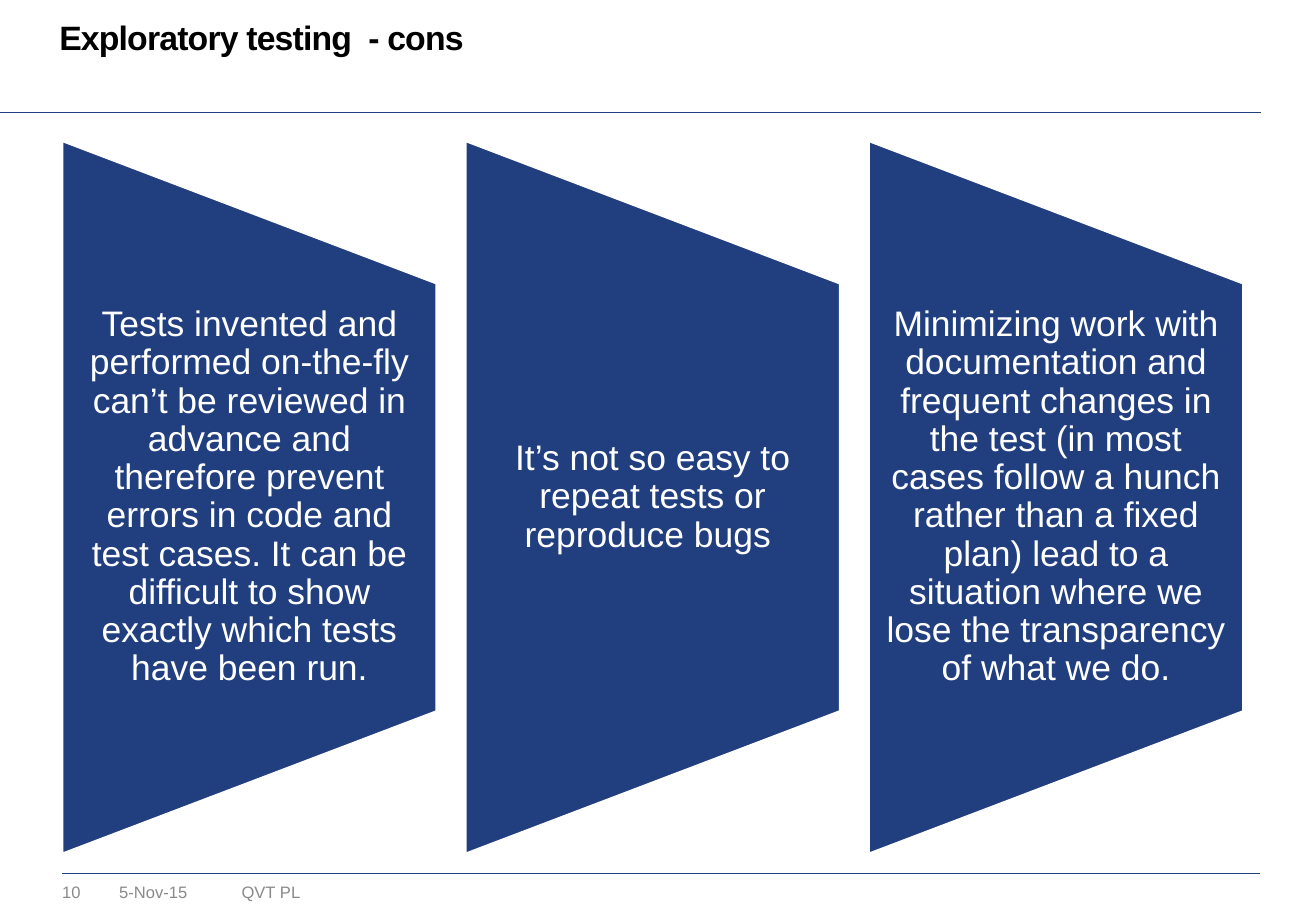
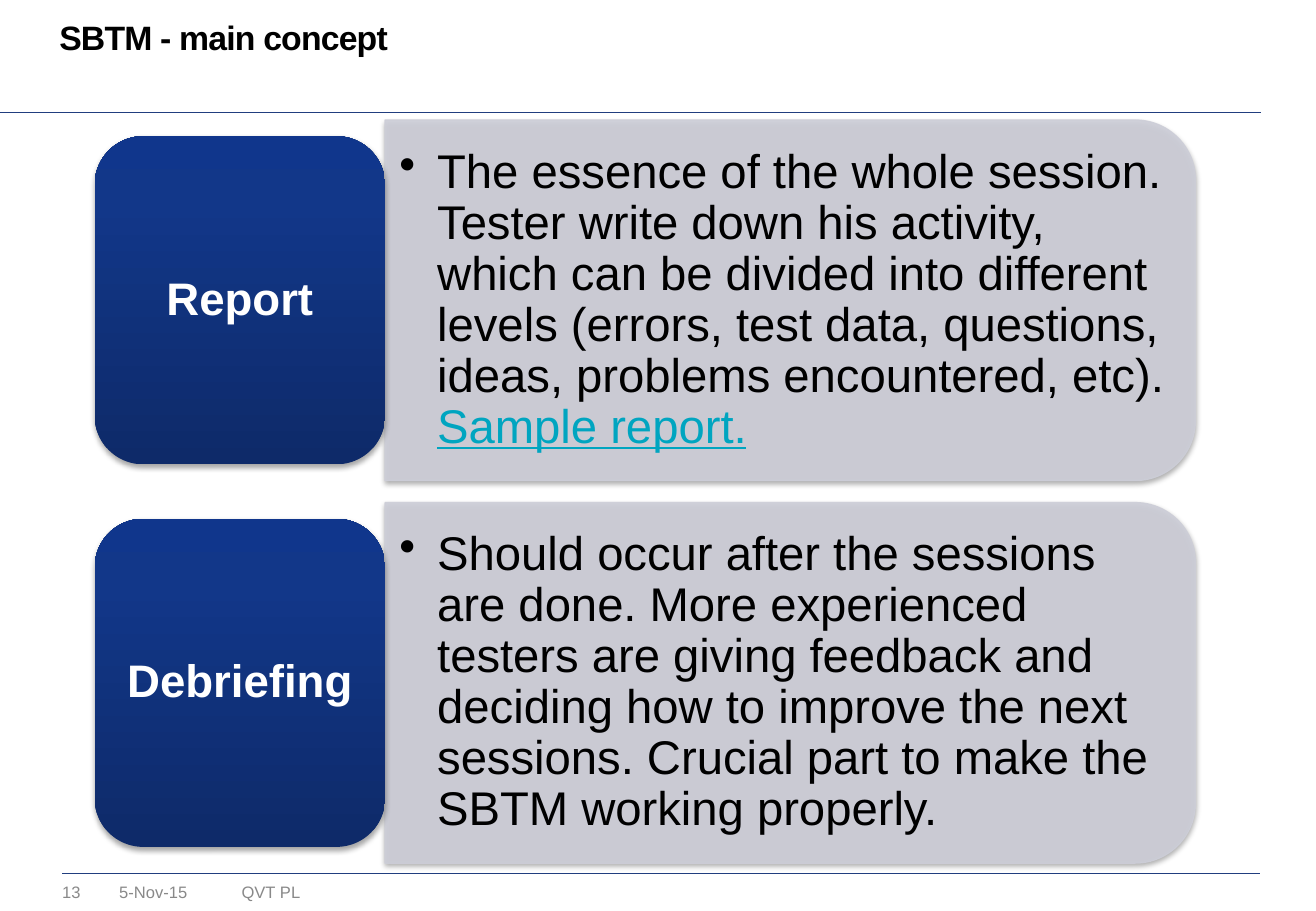
import copy
from dataclasses import dataclass

import pptx
import pptx.dml.color
import pptx.enum.shapes
import pptx.enum.text
import pptx.oxml.ns
import pptx.util
from lxml import etree

Cm, Pt = pptx.util.Cm, pptx.util.Pt
RGBColor = pptx.dml.color.RGBColor
MSO_SHAPE = pptx.enum.shapes.MSO_SHAPE
PP_ALIGN = pptx.enum.text.PP_ALIGN
MSO_ANCHOR = pptx.enum.text.MSO_ANCHOR
qn = pptx.oxml.ns.qn

# Colours and fonts
NAVY = RGBColor(0x21, 0x3E, 0x7F)
WHITE = RGBColor(0xFF, 0xFF, 0xFF)
BLACK = RGBColor(0x00, 0x00, 0x00)
GREY = RGBColor(0x89, 0x89, 0x89)
PANEL = RGBColor(0xCD, 0xCE, 0xD8)
TEAL = RGBColor(0x00, 0xA5, 0xC0)
LABEL_STOPS = (
    (0.0, RGBColor(0x0E, 0x2A, 0x69)),
    (0.8, RGBColor(0x12, 0x37, 0x89)),
    (1.0, RGBColor(0x10, 0x36, 0x8C)),
)
FONT = "Arial"

TITLE = {"size": Pt(20), "bold": True, "color": BLACK}
FOOTER = {"size": Pt(9.8), "color": GREY}
CON = {"size": Pt(21), "color": WHITE}
LABEL = {"size": Pt(27), "bold": True, "color": WHITE}
BODY = {"size": Pt(28), "color": BLACK}
LINK = {"size": Pt(28), "color": TEAL, "underline": True}


@dataclass(frozen=True)
class Box:
    """Left, top, width and height in centimetres."""
    x: float
    y: float
    w: float
    h: float

    def lengths(self) -> tuple:
        return Cm(self.x), Cm(self.y), Cm(self.w), Cm(self.h)

    def turned(self) -> "Box":
        """Frame that covers this box once rotated by a quarter turn."""
        return Box(self.x + (self.w - self.h) / 2,
                   self.y + (self.h - self.w) / 2, self.h, self.w)


@dataclass(frozen=True)
class Concept:
    label: str
    text: str
    link: str = ""


CONS = (
    "Tests invented and performed on-the-fly can’t be reviewed in advance and "
    "therefore prevent errors in code and test cases. It can be difficult to "
    "show exactly which tests have been run.",
    "It’s not so easy to repeat tests or reproduce bugs ",
    "Minimizing work with documentation and frequent changes in the test (in "
    "most cases follow a hunch rather than a fixed plan) lead to a situation "
    "where we lose the transparency of what we do.",
)
CONCEPTS = (
    Concept("Report",
            "The essence of the whole session. Tester write down his activity, "
            "which can be divided into different levels (errors, test data, "
            "questions, ideas, problems encountered, etc). ",
            "Sample report."),
    Concept("Debriefing",
            "Should occur after the sessions are done. More experienced testers "
            "are giving feedback and deciding how to improve the next sessions. "
            "Crucial part to make the SBTM working properly."),
)


# Text helpers
def add_run(p, text: str, style: dict):
    r = p.add_run()
    r.text = text
    r.font.name = FONT
    for name, value in style.items():
        if name == "color":
            r.font.color.rgb = value
        else:
            setattr(r.font, name, value)
    return r


def setup_frame(s, dx: float = 0, dy: float = 0, anchor=MSO_ANCHOR.TOP, wrap: bool = True):
    tf = s.text_frame
    settings = {
        "margin_left": Cm(dx), "margin_right": Cm(dx),
        "margin_top": Cm(dy), "margin_bottom": Cm(dy),
        "vertical_anchor": anchor, "word_wrap": wrap,
    }
    for name, value in settings.items():
        setattr(tf, name, value)
    return tf.paragraphs[0]


def add_text(sp, box: Box, text: str, style: dict, **frame):
    p = setup_frame(sp.add_textbox(*box.lengths()), **frame)
    return p, add_run(p, text, style)


# Shape helpers
def add_rule(sp, x1: float, x2: float, y: float) -> None:
    s = sp.add_connector(pptx.enum.shapes.MSO_CONNECTOR.STRAIGHT, Cm(x1), Cm(y), Cm(x2), Cm(y))
    s.line.color.rgb = NAVY
    s.line.width = Pt(0.25)
    etree.SubElement(s._element.spPr, qn("a:effectLst"))


def add_shape(sp, kind, box: Box, rotation: int = 0):
    s = sp.add_shape(kind, *(box.turned() if rotation else box).lengths())
    s.rotation = rotation
    s.shadow.inherit = False
    return s


def fill_and_line(s, fill: RGBColor, line: RGBColor, width: float) -> None:
    s.fill.solid()
    s.fill.fore_color.rgb = fill
    s.line.color.rgb = line
    s.line.width = Pt(width)


def set_opacity(parent, percent: int) -> None:
    for color in parent.iter(qn("a:srgbClr")):
        etree.SubElement(color, qn("a:alpha"), val=str(percent * 1000))


def add_shadow(s) -> None:
    effects = s._element.spPr.find(qn("a:effectLst"))
    shadow = etree.SubElement(effects, qn("a:outerShdw"), blurRad=str(Pt(3.1)),
                              dist=str(Pt(1.8)), dir="5400000", rotWithShape="0")
    etree.SubElement(shadow, qn("a:srgbClr"), val=str(BLACK))
    set_opacity(shadow, 35)


def fill_gradient(s) -> None:
    s.fill.gradient()
    s.fill.gradient_angle = 90
    stops = s._element.spPr.find(qn("a:gradFill")).find(qn("a:gsLst"))
    stops.append(copy.deepcopy(stops[0]))
    for stop, (position, color) in zip(s.fill.gradient_stops, LABEL_STOPS):
        stop.position = position
        stop.color.rgb = color


# Shared slide frame: title, rules and footer
def add_slide(prs, title: str, number: int):
    sp = prs.slides.add_slide(prs.slide_layouts[6]).shapes
    add_rule(sp, 1.3, 26.34, 18.26)
    add_rule(sp, 0, 26.37, 2.34)
    add_text(sp, Box(1.3, 18.44, 1, 0.43), str(number), FOOTER, wrap=False)
    add_text(sp, Box(2.49, 18.44, 2.26, 0.43), "5-Nov-15", FOOTER)
    add_text(sp, Box(5.05, 18.44, 3.58, 0.43), "QVT PL", FOOTER)
    p, r = add_text(sp, Box(1.24, 0.43, 25.22, 0.79), title, TITLE)
    p.line_spacing = Pt(21.7)
    r.font._element.set("spc", "-50")
    return sp


def add_con(sp, box: Box, text: str) -> None:
    s = add_shape(sp, MSO_SHAPE.FLOWCHART_MANUAL_OPERATION, box, 270)
    fill_and_line(s, NAVY, WHITE, 2)
    inner = Box(box.x, box.y + box.h / 5, box.w, box.h * 3 / 5)
    p, _ = add_text(sp, inner, text, CON, dx=0.38, anchor=MSO_ANCHOR.MIDDLE)
    p.alignment = PP_ALIGN.CENTER
    p.line_spacing = 0.9


def add_concept(sp, y: float, concept: Concept) -> None:
    # Panel with bulleted text
    s = add_shape(sp, MSO_SHAPE.ROUND_2_SAME_RECTANGLE, Box(8.05, y, 16.94, 7.54), 90)
    fill_and_line(s, PANEL, PANEL, 0.75)
    set_opacity(s._element.spPr, 90)
    add_shadow(s)
    p, _ = add_text(sp, Box(8.05, y + 0.37, 16.59, 6.8), concept.text, BODY,
                    dx=0.3, dy=0.15, anchor=MSO_ANCHOR.MIDDLE)
    if concept.link:
        add_run(p, concept.link, LINK)
    p.line_spacing = 0.9
    pPr = p._p.get_or_add_pPr()
    pPr.set("marL", str(Cm(0.79)))
    pPr.set("indent", str(-Cm(0.79)))
    etree.SubElement(pPr, qn("a:buChar"), char="•")

    # Label
    s = add_shape(sp, MSO_SHAPE.ROUNDED_RECTANGLE, Box(1.98, y + 0.34, 6.07, 6.86))
    fill_gradient(s)
    s.line.fill.background()
    add_shadow(s)
    p = setup_frame(s, dx=0.28, dy=0.15, anchor=MSO_ANCHOR.MIDDLE)
    p.alignment = PP_ALIGN.CENTER
    p.line_spacing = 0.9
    add_run(p, concept.label, LABEL)


def main() -> None:
    prs = pptx.Presentation()
    prs.slide_width, prs.slide_height = Cm(27.51), Cm(19.05)

    sp = add_slide(prs, "Exploratory testing  - cons", 10)
    for i, text in enumerate(CONS):
        add_con(sp, Box(1.29 + 8.43 * i, 2.93, 7.85, 14.94), text)

    sp = add_slide(prs, "SBTM - main concept", 13)
    for i, concept in enumerate(CONCEPTS):
        add_concept(sp, 2.51 + 8 * i, concept)

    prs.save("out.pptx")


if __name__ == "__main__":
    main()
